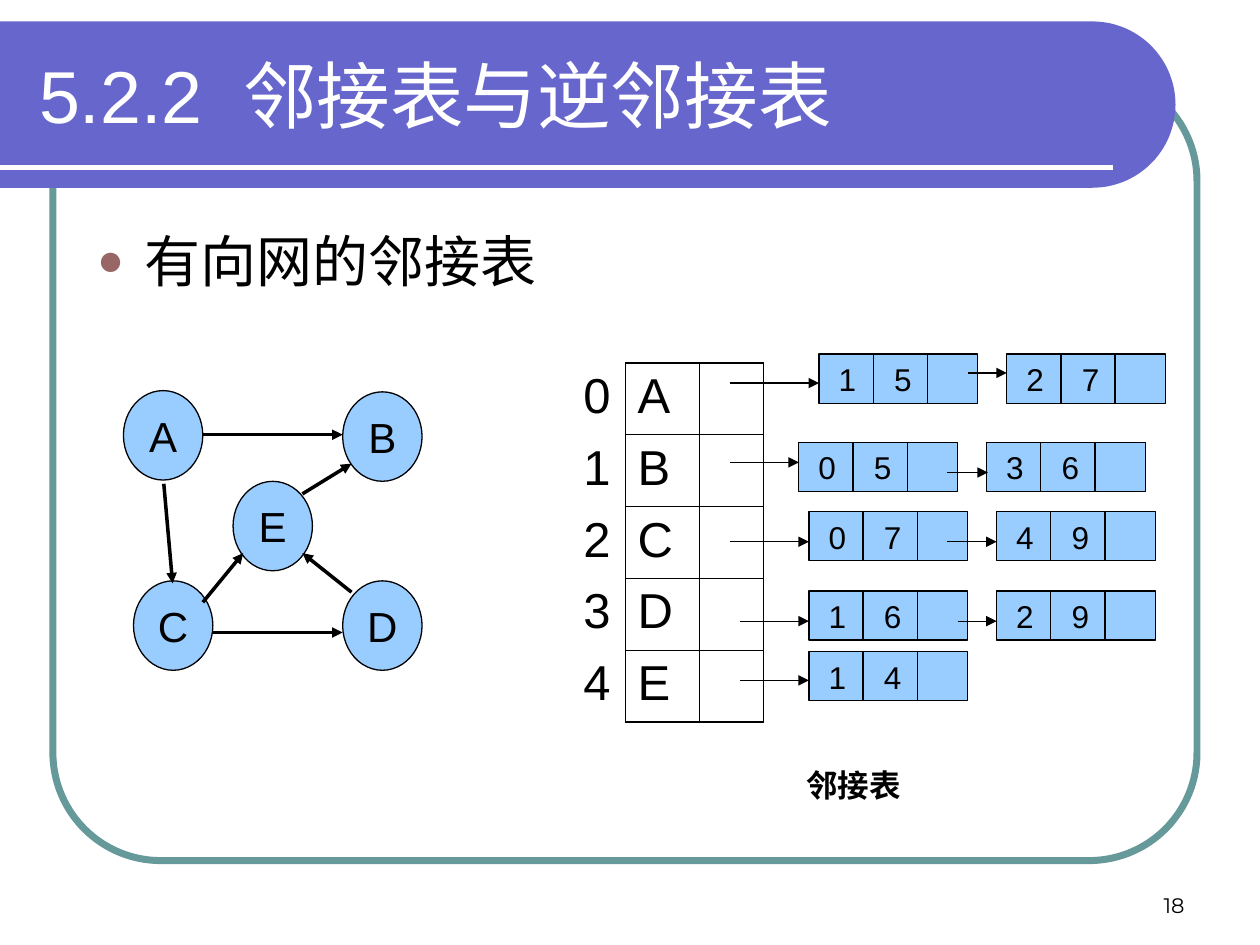
"""Build a slide showing a directed network and its adjacency list."""
import math

from lxml import etree
from pptx import Presentation
from pptx.dml.color import RGBColor
from pptx.enum.shapes import MSO_CONNECTOR, MSO_SHAPE
from pptx.enum.text import MSO_ANCHOR, MSO_AUTO_SIZE, PP_ALIGN
from pptx.oxml.ns import qn
from pptx.util import Inches, Pt

STRAIGHT = MSO_CONNECTOR.STRAIGHT
LEFT, CENTER, RIGHT = PP_ALIGN.LEFT, PP_ALIGN.CENTER, PP_ALIGN.RIGHT
TOP, MIDDLE, BOTTOM = MSO_ANCHOR.TOP, MSO_ANCHOR.MIDDLE, MSO_ANCHOR.BOTTOM
BLACK = RGBColor(0x00, 0x00, 0x00)
WHITE = RGBColor(0xFF, 0xFF, 0xFF)
PURPLE = RGBColor(0x66, 0x66, 0xCC)
TEAL = RGBColor(0x66, 0x99, 0x99)
BLUE = RGBColor(0x99, 0xCC, 0xFF)
BULLET = RGBColor(0x99, 0x66, 0x66)

TITLE = ("5.2.2", " ", "邻接表与逆邻接表")
TOPIC = "有向网的邻接表"
CAPTION = "邻接表"
PAGE = "18"

VERTICES = {"A": (0.98, 3.1), "D": (2.72, 4.61), "C": (1.06, 4.61),
            "B": (2.72, 3.11), "E": (1.85, 3.82)}
VERTEX_SIZE = (0.63, 0.71)
EDGES = [
    (2.79, 4.7, 2.4, 4.39),
    (1.61, 3.45, 2.72, 3.45),
    (1.3, 3.84, 1.37, 4.63),
    (1.69, 5.02, 2.72, 5.02),
    (1.61, 4.78, 1.93, 4.39),
    (2.4, 3.92, 2.79, 3.68),
]

HEADS = "ABCDE"
COLUMNS = (0.43, 0.59, 0.51)
ROW_HEIGHT = 0.57
THIN, THICK = 0.45, 1.08

NODE_SIZE = (1.26, 0.39)
NODE_STEP = 1.49
FIELD = 0.43
FIELD_BOXES = ((0, 0.45), (0.47, 0.39))
CHAINS = [
    (6.5, 2.81, [(1, 5), (2, 7)]),
    (6.34, 3.51, [(0, 5), (3, 6)]),
    (6.42, 4.06, [(0, 7), (4, 9)]),
    (6.42, 4.69, [(1, 6), (2, 9)]),
    (6.42, 5.17, [(1, 4)]),
]
POINTERS = [
    (5.79, 6.5, 3.04), (7.68, 7.99, 2.96),
    (5.79, 6.34, 3.67), (7.52, 7.84, 3.75),
    (5.79, 6.42, 4.3), (7.52, 7.91, 4.3),
    (5.87, 6.42, 4.93), (7.6, 7.91, 4.93),
    (5.87, 6.42, 5.4),
]


def place(shape, x, y, w, h):
    shape.left, shape.top = Inches(x), Inches(y)
    shape.width, shape.height = Inches(w), Inches(h)


def write(tf, text, size, align=LEFT, anchor=TOP, color=BLACK, font="Arial", bold=False):
    tf.word_wrap = True
    tf.vertical_anchor = anchor
    p = tf.paragraphs[0]
    p.alignment = align
    for part in (text if isinstance(text, tuple) else (text,)):
        r = p.add_run()
        r.text = part
        r.font.size, r.font.name, r.font.bold = Pt(size), font, bold
        r.font.color.rgb = color
    return p


def add_text(s, box, text, size, align=CENTER, **style):
    tb = s.shapes.add_textbox(*map(Inches, box))
    write(tb.text_frame, text, size, align, **style)


def add_line(s, x1, y1, x2, y2, width=0.75, color=BLACK, arrow=False):
    line = s.shapes.add_connector(STRAIGHT, *map(Inches, (x1, y1, x2, y2)))
    line.line.width = Pt(width)
    line.line.color.rgb = color
    if arrow:
        etree.SubElement(line.line._get_or_add_ln(), qn("a:tailEnd"), type="triangle")
    etree.SubElement(line._element.spPr, qn("a:effectLst"))


def add_box(s, kind, box, fill=BLUE, color=BLACK, width=0.75):
    sp = s.shapes.add_shape(kind, *map(Inches, box))
    sp.shadow.inherit = False
    if fill is None:
        sp.fill.background()
    else:
        sp.fill.solid()
        sp.fill.fore_color.rgb = fill
    sp.line.color.rgb = color
    sp.line.width = Pt(width)
    return sp


def add_frame(s):
    frame = add_box(s, MSO_SHAPE.ROUNDED_RECTANGLE, (0.42, 0.58, 9.08, 6.25), None, TEAL, 4)
    frame.adjustments[0] = 0.137
    cx, cy, radius, steps = 8.67, 0.83, 0.66, 60
    angles = [math.pi * (i / steps - 0.5) for i in range(steps + 1)]
    arc = [(Inches(cx + radius * math.cos(a)), Inches(cy + radius * math.sin(a))) for a in angles]
    builder = s.shapes.build_freeform(0, Inches(cy - radius))
    builder.add_line_segments(arc + [(0, Inches(cy + radius))], close=True)
    banner = builder.convert_to_shape()
    banner.shadow.inherit = False
    banner.fill.solid()
    banner.fill.fore_color.rgb = PURPLE
    banner.line.fill.background()
    add_line(s, 0, 1.33, 8.83, 1.33, 3, WHITE)


def add_headings(s):
    title, body = s.shapes.title, s.placeholders[1]
    for shape in (title, body):
        s.shapes._spTree.append(shape._element)
        shape.text_frame.auto_size = MSO_AUTO_SIZE.NONE
    place(title, 0.21, 0.25, 8.77, 1)
    p = write(title.text_frame, TITLE, 42, anchor=MIDDLE, color=WHITE)
    p.runs[1].font._element.set("spc", "1170")
    place(body, 0.67, 1.75, 8.67, 0.82)
    p = write(body.text_frame, TOPIC, 32)
    p.space_before = Pt(0)
    pPr = p._p.get_or_add_pPr()
    pPr.set("marL", str(Inches(0.38)))
    pPr.set("indent", str(-Inches(0.38)))
    color = etree.SubElement(pPr, qn("a:buClr"))
    etree.SubElement(color, qn("a:srgbClr"), val=str(BULLET))
    etree.SubElement(pPr, qn("a:buSzPct"), val="80000")
    etree.SubElement(pPr, qn("a:buChar"), char="●")


def set_borders(cell, widths):
    tcPr = cell._tc.get_or_add_tcPr()
    for side in "LRTB":
        if side in widths:
            ln = etree.SubElement(tcPr, qn(f"a:ln{side}"), w=str(Pt(widths[side])))
            fill = etree.SubElement(ln, qn("a:solidFill"))
            etree.SubElement(fill, qn("a:srgbClr"), val=str(BLACK))


def add_head_table(s):
    last = len(HEADS) - 1
    box = (4.53, 2.88, sum(COLUMNS), ROW_HEIGHT * len(HEADS))
    table = s.shapes.add_table(len(HEADS), len(COLUMNS), *map(Inches, box)).table
    table.first_row = table.horz_banding = False
    for column, width in zip(table.columns, COLUMNS):
        column.width = Inches(width)
    for i, head in enumerate(HEADS):
        table.rows[i].height = Inches(ROW_HEIGHT)
        for j, text in enumerate((str(i), head, "")):
            cell = table.cell(i, j)
            if j == 0:
                set_borders(cell, {"R": THIN})
            else:
                set_borders(cell, {"L": THIN, "R": THICK if j == 2 else THIN,
                                   "T": THICK if i == 0 else THIN,
                                   "B": THICK if i == last else THIN})
            cell.fill.background()
            if text:
                write(cell.text_frame, text, 28)


def add_node(s, x, y, values):
    w, h = NODE_SIZE
    add_box(s, MSO_SHAPE.RECTANGLE, (x, y, w, h))
    for k, (value, (dx, width)) in enumerate(zip(values, FIELD_BOXES), 1):
        add_line(s, x + k * FIELD, y, x + k * FIELD, y + h)
        add_text(s, (x + dx, y, width, 0.4), str(value), 18)


def main():
    prs = Presentation()
    prs.slide_width, prs.slide_height = Inches(10), Inches(7.5)
    s = prs.slides.add_slide(prs.slide_layouts[1])
    add_frame(s)
    add_headings(s)
    for name, corner in VERTICES.items():
        sp = add_box(s, MSO_SHAPE.OVAL, corner + VERTEX_SIZE)
        write(sp.text_frame, name, 24, CENTER, MIDDLE)
    for edge in EDGES:
        add_line(s, *edge, width=2, arrow=True)
    add_head_table(s)
    for x, y, nodes in CHAINS:
        for k, values in enumerate(nodes):
            add_node(s, x + k * NODE_STEP, y, values)
    for x1, x2, y in POINTERS:
        add_line(s, x1, y, x2, y, arrow=True)
    add_text(s, (5.87, 6.03, 1.81, 0.4), CAPTION, 18, bold=True)
    add_text(s, (7.17, 6.83, 2.33, 0.5), PAGE, 12, RIGHT, anchor=BOTTOM, font="Montserrat")
    prs.save("out.pptx")


if __name__ == "__main__":
    main()
